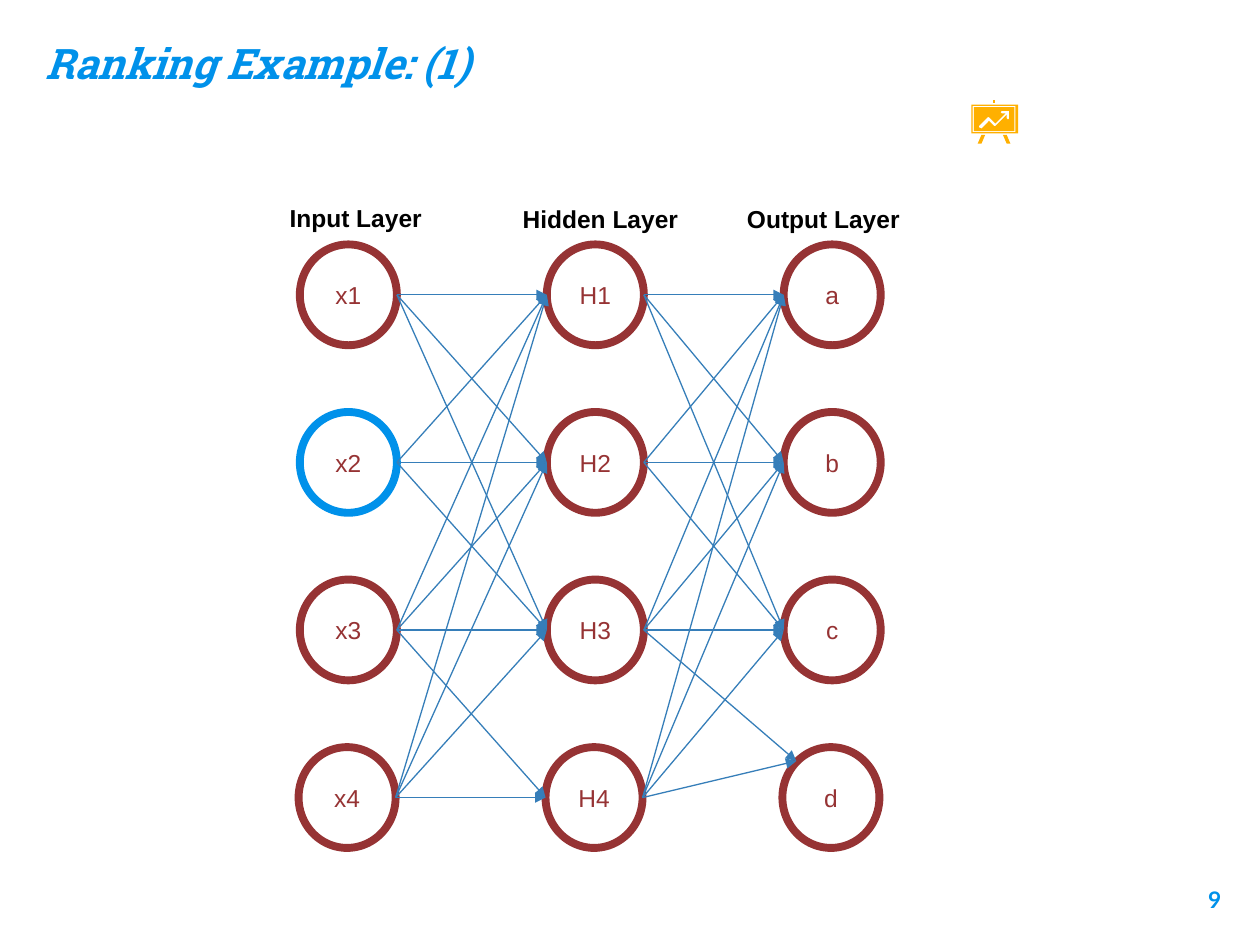
from lxml import etree
from pptx import Presentation
from pptx.dml.color import RGBColor
from pptx.enum import shapes, text
from pptx.oxml.ns import qn
from pptx.util import Inches, Pt

BLUE = RGBColor(0x00, 0x91, 0xEA)
RED = RGBColor(0x96, 0x33, 0x34)
AMBER = RGBColor(0xFF, 0xB0, 0x00)
ARROW = RGBColor(0x36, 0x7E, 0xB9)
BLACK = RGBColor(0, 0, 0)

NODE_W, NODE_H = 0.77, 0.8
LAYERS = [
    # heading, heading left, top, width, node left, node names
    ("Input Layer", 2.2, 1.56, 1.26, 2.38, ["x1", "x2", "x3", "x4"]),
    ("Hidden Layer", 4.05, 1.57, 1.44, 4.34, ["H1", "H2", "H3", "H4"]),
    ("Output Layer", 5.83, 1.57, 1.42, 6.22, ["a", "b", "c", "d"]),
]
ROW_TOPS = [1.94 + 1.33 * row for row in range(4)]
LAST_ROW_SHIFT = -0.01
TARGETS = [3, 3, 4, 4]  # nodes of the next layer that each row points to

# Outlines of the chart icon, in hundredths of an inch
ICON = [
    # board frame
    [[(771, 83), (808, 83), (808, 106), (771, 106)],
     [(772, 84), (772, 105), (806, 105), (806, 84)]],
    # knob
    [[(788, 79), (790, 79), (790, 82), (788, 82)]],
    # legs
    [[(779, 107), (782, 107), (779, 114), (776, 114)]],
    [[(796, 107), (799, 107), (802, 114), (799, 114)]],
    # panel with the rising arrow cut out
    [[(773, 85), (773, 104), (805, 104), (805, 85)],
     [(777, 100), (784, 93), (785, 93), (790, 98), (798, 90), (795, 90),
      (794, 89), (795, 88), (801, 88), (801, 94), (800, 95), (799, 94),
      (799, 91), (790, 100), (789, 100), (785, 96), (779, 102), (777, 101)]],
]


def write(sp, content, size=14, font="Arial", color=BLACK, bold=False,
          italic=False, align=text.PP_ALIGN.LEFT, anchor=text.MSO_ANCHOR.TOP,
          inset=None, wrap=True):
    tf = sp.text_frame
    tf.word_wrap = wrap
    tf.vertical_anchor = anchor
    if inset is not None:
        tf.margin_left = tf.margin_right = Inches(inset)
        tf.margin_top = tf.margin_bottom = Inches(inset)
    p = tf.paragraphs[0]
    p.alignment = align
    r = p.add_run()
    r.text = content
    r.font.size = Pt(size)
    r.font.name = font
    r.font.bold = bold
    r.font.italic = italic
    r.font.color.rgb = color


def add_arrow(group, x1, y1, x2, y2):
    line = group.add_connector(shapes.MSO_CONNECTOR.STRAIGHT, Inches(x1),
                               Inches(y1), Inches(x2), Inches(y2))
    line.line.color.rgb = ARROW
    line.line.width = Pt(0.75)
    ln = line.line._get_or_add_ln()
    etree.SubElement(ln, qn("a:tailEnd"), type="triangle")
    etree.SubElement(line._element.spPr, qn("a:effectLst"))


prs = Presentation()
prs.slide_width, prs.slide_height = Inches(10), Inches(7.5)
s = prs.slides.add_slide(prs.slide_layouts[5])

title = s.shapes.title
title.left, title.top = Inches(0.26), Inches(0.16)
title.width, title.height = Inches(4.82), Inches(0.64)
write(title, "Ranking Example: (1)", size=24, font="Roboto Slab", color=BLUE,
      bold=True, italic=True, anchor=text.MSO_ANCHOR.BOTTOM, inset=0.1)

number = s.shapes.add_textbox(Inches(9.19), Inches(6.93), Inches(0.6), Inches(0.57))
write(number, "9", size=13, font="Lato", color=BLUE, bold=True,
      align=text.PP_ALIGN.RIGHT, inset=0.1)

# Chart icon
icon = s.shapes.add_group_shape()
for contours in ICON:
    builder = icon.shapes.build_freeform(*contours[0][0], scale=Inches(0.01))
    builder.add_line_segments(contours[0][1:], close=True)
    for hole in contours[1:]:
        builder.move_to(*hole[0])
        builder.add_line_segments(hole[1:], close=True)
    sp = builder.convert_to_shape()
    sp.shadow.inherit = False
    sp.fill.solid()
    sp.fill.fore_color.rgb = AMBER
    sp.line.fill.background()

# Layers of nodes with their headings
for heading, left, top, width, node_left, names in LAYERS:
    label = s.shapes.add_textbox(Inches(left), Inches(top), Inches(width), Inches(0.34))
    write(label, heading, bold=True, wrap=False)
    for row, name in enumerate(names):
        x = node_left + (LAST_ROW_SHIFT if row == 3 else 0)
        node = s.shapes.add_shape(shapes.MSO_SHAPE.OVAL, Inches(x), Inches(ROW_TOPS[row]),
                                  Inches(NODE_W), Inches(NODE_H))
        node.shadow.inherit = False
        node.fill.background()
        node.line.color.rgb = BLUE if name == "x2" else RED
        node.line.width = Pt(4.5)
        write(node, name, color=RED, align=text.PP_ALIGN.CENTER,
              anchor=text.MSO_ANCHOR.MIDDLE)

# Arrows from the right edge of a node to the left edge of the next layer's
for source, target in zip(LAYERS, LAYERS[1:]):
    for row, count in enumerate(TARGETS):
        x1 = source[4] + NODE_W + (LAST_ROW_SHIFT if row == 3 else 0)
        y1 = ROW_TOPS[row] + NODE_H / 2
        for goal in range(count):
            x2 = target[4] + (LAST_ROW_SHIFT if goal == 3 else 0)
            y2 = ROW_TOPS[goal] + NODE_H / 2
            if target[5][goal] == "d":  # enters at the upper left
                x2, y2 = 6.32, 6.04
            add_arrow(s.shapes, x1, y1, x2, y2)

prs.save("out.pptx")
